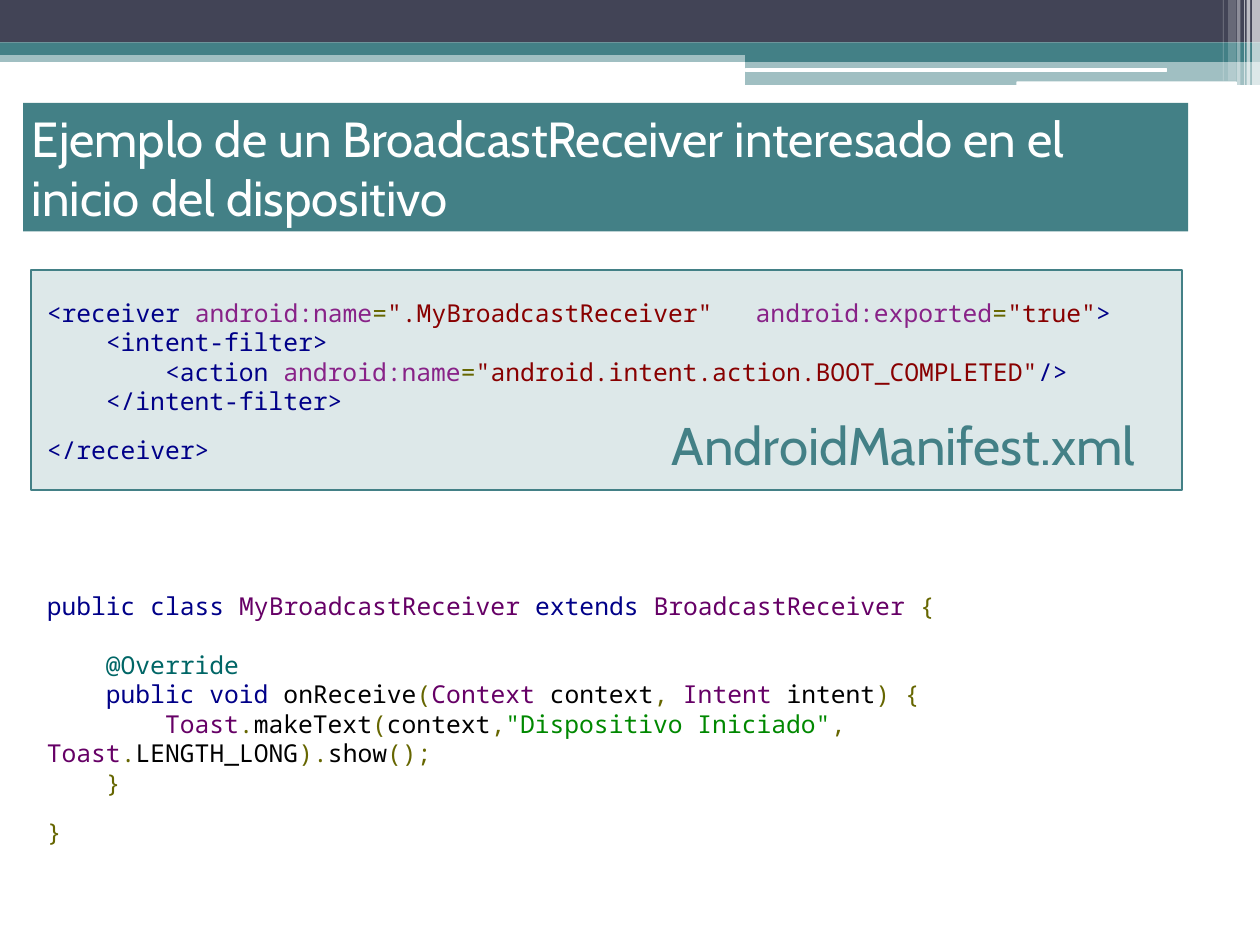
from dataclasses import dataclass

from lxml import etree
from pptx import Presentation
from pptx import util as u
from pptx.dml import color
from pptx.enum import shapes, text
from pptx.oxml import ns


@dataclass(frozen=True)
class Theme:
    teal: str = "438086"
    slate: str = "424456"
    white: str = "FFFFFF"
    tag: str = "000088"
    attribute: str = "882288"
    value: str = "880000"
    symbol: str = "666600"
    type_name: str = "660066"
    annotation: str = "006666"
    literal: str = "008800"
    plain: str = "000000"
    heading_font: str = "Cabin"
    code_font: str = "Noto Sans Mono"
    title_size: float = 40
    label_size: float = 43
    code_size: float = 20
    code_leading: float = 23.9
    code_column: float = 12


class SlideBuilder:
    def __init__(self, slide, theme):
        self.slide = slide
        self.theme = theme

    def paint(self, shape, fill, opacity=100):
        shape.fill.solid()
        shape.fill.fore_color.rgb = color.RGBColor.from_string(fill)
        if opacity < 100:
            element = shape.fill._xPr.find(".//" + ns.qn("a:srgbClr"))
            etree.SubElement(element, ns.qn("a:alpha"), val=str(opacity * 1000))

    def block(self, box, fill, opacity=100, line=None,
              kind=shapes.MSO_SHAPE.RECTANGLE):
        shape = self.slide.shapes.add_shape(kind, *map(u.Pt, box))
        shape.shadow.inherit = False
        self.paint(shape, fill, opacity)
        if line:
            shape.line.color.rgb = color.RGBColor.from_string(line)
            shape.line.width = u.Pt(1.5)
        else:
            shape.line.fill.background()

    def run(self, paragraph, words, font, size, ink):
        run = paragraph.add_run()
        run.text = words
        run.font.name = font
        run.font.size = u.Pt(size)
        run.font.color.rgb = color.RGBColor.from_string(ink)

    def title(self, box, words):
        shape = self.slide.shapes.title
        shape.left, shape.top, shape.width, shape.height = map(u.Pt, box)
        self.paint(shape, self.theme.teal)
        frame = shape.text_frame
        frame.word_wrap = True
        frame.auto_size = text.MSO_AUTO_SIZE.NONE
        frame.vertical_anchor = text.MSO_ANCHOR.MIDDLE
        paragraph = frame.paragraphs[0]
        paragraph.alignment = text.PP_ALIGN.LEFT
        self.run(paragraph, words, self.theme.heading_font,
                 self.theme.title_size, self.theme.white)

    def text_frame(self, box):
        frame = self.slide.shapes.add_textbox(*map(u.Pt, box)).text_frame
        frame.word_wrap = True
        return frame

    def label(self, box, words):
        paragraph = self.text_frame(box).paragraphs[0]
        self.run(paragraph, words, self.theme.heading_font,
                 self.theme.label_size, self.theme.teal)

    def code(self, box, lines, tab_column=None):
        theme = self.theme
        frame = self.text_frame(box)
        for index, (column, gap, pieces) in enumerate(lines):
            paragraph = frame.add_paragraph() if index else frame.paragraphs[0]
            paragraph.line_spacing = u.Pt(theme.code_leading)
            paragraph.space_before = u.Pt(gap)
            properties = paragraph._p.get_or_add_pPr()
            properties.set("marL", "0")
            properties.set("indent", str(u.Pt(column * theme.code_column)))
            if tab_column and index == 0:
                stops = etree.SubElement(properties, ns.qn("a:tabLst"))
                position = str(u.Pt(tab_column * theme.code_column))
                etree.SubElement(stops, ns.qn("a:tab"), pos=position, algn="l")
            for words, ink in pieces:
                self.run(paragraph, words, theme.code_font, theme.code_size, ink)


def draw_header(builder):
    theme = builder.theme
    width = 1023.84
    half = 605.52
    for box, fill, opacity in (
        ((0, 41, width, 9.4), theme.teal, 50),
        ((0, 0, width, 34.5), theme.slate, 100),
        ((0, 34.5, width, 10), theme.teal, 100),
        ((half, 40.3, width - half, 10), theme.teal, 100),
        ((half, 49, width - half, 20), theme.teal, 50),
    ):
        builder.block(box, fill, opacity)
    for box in ((half, 55.4, 342.7, 3), (825.8, 66.2, 179.3, 4.3)):
        builder.block(box, theme.white, kind=shapes.MSO_SHAPE.ROUNDED_RECTANGLE)
    for left, stripe, height, opacity in (
        (1017.4, 6.44, 70, 65), (1013, 2.9, 70, 65), (1010.9, 0.7, 70, 60),
        (1005.1, 2.9, 70, 40), (997.9, 6.5, 65.5, 20), (993.6, 0.7, 65.5, 30),
    ):
        builder.block((left, 0, stripe, height), theme.white, opacity)


def manifest_lines(theme):
    tag, attribute, value = theme.tag, theme.attribute, theme.value
    symbol = theme.symbol
    return [
        (0, 0, [("<receiver ", tag), ("android:name", attribute), ("=", symbol),
                ('".MyBroadcastReceiver"\t', value),
                ("android:exported", attribute), ("=", symbol),
                ('"true"', value), (">", tag)]),
        (4, 0, [("<intent-filter>", tag)]),
        (8, 0, [("<action ", tag), ("android:name", attribute), ("=", symbol),
                ('"android.intent.action.BOOT_COMPLETED"', value), ("/>", tag)]),
        (4, 0, [("</intent-filter>", tag)]),
        (0, 16, [("</receiver>", tag)]),
    ]


def receiver_lines(theme):
    keyword, type_name, symbol = theme.tag, theme.type_name, theme.symbol
    plain = theme.plain
    return [
        (0, 0, [("public class ", keyword), ("MyBroadcastReceiver ", type_name),
                ("extends ", keyword), ("BroadcastReceiver ", type_name),
                ("{", symbol)]),
        (4, theme.code_leading, [("@Override", theme.annotation)]),
        (4, 0, [("public void ", keyword), ("onReceive", plain), ("(", symbol),
                ("Context ", type_name), ("context", plain), (", ", symbol),
                ("Intent ", type_name), ("intent", plain), (") {", symbol)]),
        (8, 0, [("Toast", type_name), (".", symbol), ("makeText", plain),
                ("(", symbol), ("context", plain), (",", symbol),
                ('"Dispositivo Iniciado"', theme.literal), (", ", symbol),
                ("Toast", type_name), (".", symbol), ("LENGTH_LONG", plain),
                (").", symbol), ("show", plain), ("();", symbol)]),
        (4, 0, [("}", symbol)]),
        (0, 16, [("}", symbol)]),
    ]


def main():
    presentation = Presentation()
    presentation.slide_width = u.Pt(1023.84)
    presentation.slide_height = u.Pt(767.52)
    slide = presentation.slides.add_slide(presentation.slide_layouts[5])
    theme = Theme()
    builder = SlideBuilder(slide, theme)
    draw_header(builder)
    builder.title((18.7, 83.5, 946.8, 104.4),
                  "Ejemplo de un BroadcastReceiver interesado en el "
                  "inicio del dispositivo")
    builder.block((25.2, 219.6, 935.3, 178.6), theme.teal, 18, line=theme.teal)
    builder.code((31, 238.4, 969, 147.6), manifest_lines(theme), tab_column=47)
    builder.label((538.6, 331.9, 419.8, 59), "AndroidManifest.xml")
    builder.code((31, 476.6, 928, 248.4), receiver_lines(theme))
    presentation.save("out.pptx")


if __name__ == "__main__":
    main()
